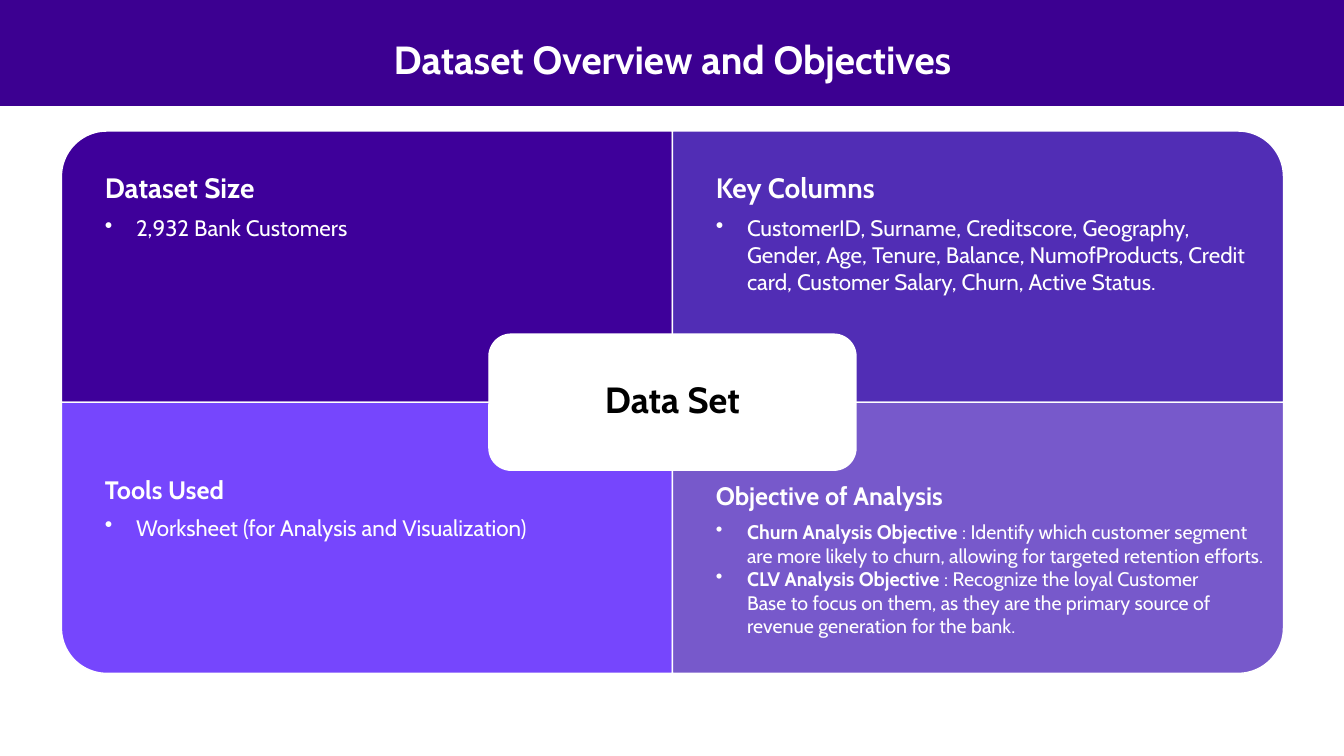
import math

import pptx
import pptx.util
import pptx.dml.color
import pptx.enum.shapes
import pptx.enum.text
from lxml import etree
from pptx.oxml.ns import qn

Inches, Pt = pptx.util.Inches, pptx.util.Pt
RGBColor = pptx.dml.color.RGBColor
ALIGN = pptx.enum.text.PP_ALIGN
ANCHOR = pptx.enum.text.MSO_ANCHOR
PRESET = pptx.enum.shapes.MSO_SHAPE

# Content
TITLE = "Dataset Overview and Objectives"
HUB = "Data Set"
FONT = "Cabin"
WHITE = RGBColor(0xFF, 0xFF, 0xFF)
BLACK = RGBColor(0, 0, 0)
BANNER = RGBColor(0x3C, 0x00, 0x91)
INDIGO = RGBColor(0x3E, 0x00, 0x9A)
PURPLE = RGBColor(0x51, 0x2D, 0xB5)
VIOLET = RGBColor(0x76, 0x46, 0xFD)
LAVENDER = RGBColor(0x77, 0x59, 0xCB)

# Each bullet is a list of (text, bold) spans; side is (-1 left / 1 right, -1 top / 1 bottom)
QUADRANTS = [
    dict(side=(-1, -1), fill=INDIGO, insets=(0.43, 0.43, 0.16, 0.83),
         heading="Dataset Size", heading_size=20, bullet_size=16,
         bullets=[[("2,932 Bank Customers", False)]]),
    dict(side=(1, -1), fill=PURPLE, insets=(0.43, 0.43, 0.16, 0.83),
         heading="Key Columns", heading_size=20, bullet_size=16,
         bullets=[[("CustomerID, Surname, Creditscore, Geography, Gender, Age, "
                    "Tenure, Balance, NumofProducts, Credit card, Customer Salary, "
                    "Churn, Active Status.", False)]]),
    dict(side=(-1, 1), fill=VIOLET, insets=(0.43, 0.75, 0.14, 0.14),
         heading="Tools Used", heading_size=18, bullet_size=16,
         bullets=[[("Worksheet (for Analysis and Visualization)", False)]]),
    dict(side=(1, 1), fill=LAVENDER, insets=(0.43, 0.81, 0.14, 0.14),
         heading="Objective of Analysis", heading_size=18, bullet_size=14,
         bullets=[[("Churn Analysis Objective ", True),
                   (": Identify which customer segment are more likely to churn, "
                    "allowing for targeted retention efforts.", False)],
                  [("CLV Analysis Objective ", True),
                   (": Recognize the loyal Customer \nBase to focus on them, as they "
                    "are the primary source of revenue generation for the bank.", False)]]),
]

# Layout in inches
CENTER_X, CENTER_Y = 6.67, 3.99
QUAD_W, QUAD_H, RADIUS = 6.06, 2.69, 0.45
HUB_W, HUB_H, HUB_RADIUS = 3.64, 1.35, 0.22
ARC_STEPS = 24


def paint(shape, fill, outline=None):
    shape.shadow.inherit = False
    shape.fill.solid()
    shape.fill.fore_color.rgb = fill
    if outline is None:
        shape.line.fill.background()
    else:
        shape.line.color.rgb = outline
        shape.line.width = Pt(1)


def set_frame(shape, insets, anchor):
    frame = shape.text_frame
    frame.word_wrap = True
    frame.vertical_anchor = anchor
    (frame.margin_left, frame.margin_top,
     frame.margin_right, frame.margin_bottom) = map(Inches, insets)
    return frame


def add_span(para, text, size, color, bold):
    for index, line in enumerate(text.split("\n")):
        if index:
            para.add_line_break()
        span = para.add_run()
        span.text = line
        span.font.name = FONT
        span.font.size = Pt(size)
        span.font.bold = bold
        span.font.color.rgb = color


def make_bullet(para):
    props = para._p.get_or_add_pPr()
    props.set("marL", str(Inches(0.31)))
    props.set("indent", str(-Inches(0.31)))
    etree.SubElement(props, qn("a:buChar")).set("char", "•")


def quadrant_outline(side_x, side_y):
    def place(x, y):
        return Inches(CENTER_X + side_x * x), Inches(CENTER_Y + side_y * y)

    angles = [math.pi / 2 * step / ARC_STEPS for step in range(ARC_STEPS + 1)]
    arc = [place(QUAD_W - RADIUS + RADIUS * math.cos(angle),
                 QUAD_H - RADIUS + RADIUS * math.sin(angle)) for angle in angles]
    return [place(0, 0), place(QUAD_W, 0)] + arc + [place(0, QUAD_H)]


def add_quadrant(slide, quadrant):
    start, *rest = quadrant_outline(*quadrant["side"])
    builder = slide.shapes.build_freeform(*start)
    builder.add_line_segments(rest, close=True)
    shape = builder.convert_to_shape()
    paint(shape, quadrant["fill"], WHITE)
    frame = set_frame(shape, quadrant["insets"], ANCHOR.TOP)
    heading = frame.paragraphs[0]
    heading.alignment = ALIGN.LEFT
    heading.line_spacing = 0.9
    heading.space_after = Pt(0.35 * quadrant["heading_size"])
    add_span(heading, quadrant["heading"], quadrant["heading_size"], WHITE, True)
    for spans in quadrant["bullets"]:
        para = frame.add_paragraph()
        para.alignment = ALIGN.LEFT
        make_bullet(para)
        for text, bold in spans:
            add_span(para, text, quadrant["bullet_size"], WHITE, bold)


def main():
    deck = pptx.Presentation()
    deck.slide_width, deck.slide_height = Inches(13.33), Inches(7.5)
    slide = deck.slides.add_slide(deck.slide_layouts[6])

    # Banner and title
    banner = slide.shapes.add_shape(PRESET.RECTANGLE, 0, 0, deck.slide_width, Inches(1.05))
    paint(banner, BANNER)
    box = slide.shapes.add_textbox(Inches(1.59), Inches(0.3), Inches(10.16), Inches(0.57))
    para = set_frame(box, (0.1, 0.05, 0.1, 0.05), ANCHOR.TOP).paragraphs[0]
    para.alignment = ALIGN.CENTER
    add_span(para, TITLE, 28, WHITE, True)

    # Four quadrants
    for quadrant in QUADRANTS:
        add_quadrant(slide, quadrant)

    # Central hub
    hub = slide.shapes.add_shape(
        PRESET.ROUNDED_RECTANGLE, Inches(CENTER_X - HUB_W / 2), Inches(CENTER_Y - HUB_H / 2),
        Inches(HUB_W), Inches(HUB_H))
    hub.adjustments[0] = HUB_RADIUS / HUB_H
    paint(hub, WHITE, WHITE)
    para = set_frame(hub, (0.19,) * 4, ANCHOR.MIDDLE).paragraphs[0]
    para.alignment = ALIGN.CENTER
    para.line_spacing = 0.9
    add_span(para, HUB, 26, BLACK, True)

    deck.save("out.pptx")


if __name__ == "__main__":
    main()
